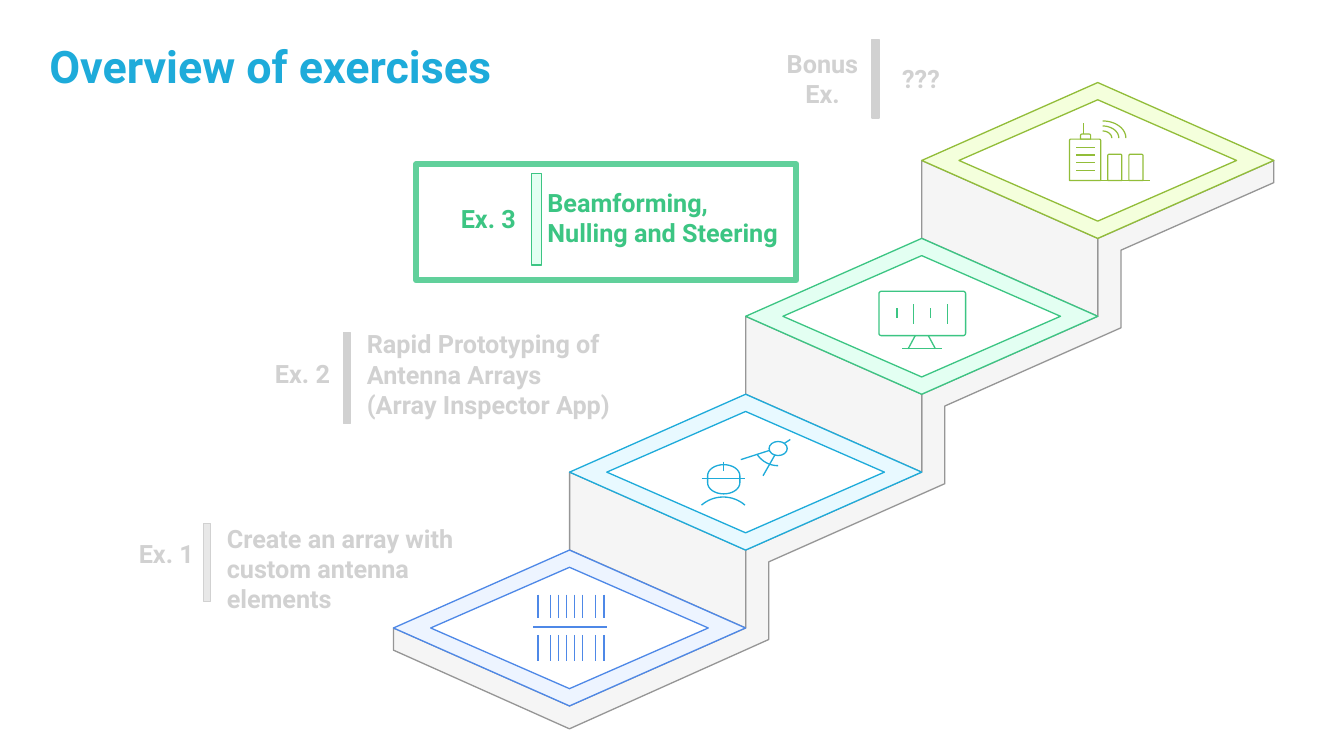
import math

import pptx
import pptx.dml.color
import pptx.enum.shapes
import pptx.enum.text
import pptx.util

COLORS = {
    "muted": "D1D1D1", "pale": "E8E8E8", "side": "F5F5F5", "edge": "969696",
    "blue": "4E88E7", "blue_fill": "EDF4FF",
    "cyan": "1EABDA", "cyan_fill": "E8F9FF",
    "green": "3CC583", "green_fill": "E3FFF2", "frame": "61D09B",
    "lime": "92BD39", "lime_fill": "F4FFDC",
}
COLUMNS, ROWS = 133.33, 75
STEP_COLORS = ["blue", "cyan", "green", "lime"]
HALF_WIDTH, HALF_HEIGHT = 17.46, 7.73
INNER_WIDTH, INNER_HEIGHT = 13.77, 6.02


class Canvas:
    """Draws on one slide; lengths are columns and rows of a square grid."""

    font = "Roboto"
    cell = pptx.util.Inches(0.1)
    outline = 0.94

    def __init__(self, presentation):
        presentation.slide_width = self.size(COLUMNS)
        presentation.slide_height = self.size(ROWS)
        self.slide = presentation.slides.add_slide(presentation.slide_layouts[6])

    def size(self, cells):
        return round(cells * self.cell)

    def color(self, name):
        return pptx.dml.color.RGBColor.from_string(COLORS[name])

    def paint(self, shape, fill, line, width):
        shape.shadow.inherit = False
        if fill:
            shape.fill.solid()
            shape.fill.fore_color.rgb = self.color(fill)
        else:
            shape.fill.background()
        shape.line.color.rgb = self.color(line)
        shape.line.width = pptx.util.Pt(width)

    def rectangle(self, *box, fill=None, line, width=outline):
        shape = self.slide.shapes.add_shape(
            pptx.enum.shapes.MSO_SHAPE.RECTANGLE, *map(self.size, box))
        self.paint(shape, fill, line, width)

    def outlines(self, contours, fill=None, line="edge", width=outline):
        """Draws (points, closed) contours as one freeform."""
        builder = None
        for points, closed in contours:
            start, *rest = [(self.size(x), self.size(y)) for x, y in points]
            if builder is None:
                builder = self.slide.shapes.build_freeform(*start, scale=1.0)
            else:
                builder.move_to(*start)
            builder.add_line_segments(rest, close=closed)
        self.paint(builder.convert_to_shape(), fill, line, width)

    def text(self, text, box, color="muted", size=18, centered=False, inset=(0, 0)):
        frame = self.slide.shapes.add_textbox(*map(self.size, box)).text_frame
        frame.word_wrap = True
        frame.margin_left = frame.margin_right = self.size(inset[0])
        frame.margin_top = frame.margin_bottom = self.size(inset[1])
        frame.text = text
        for paragraph in frame.paragraphs:
            if centered:
                paragraph.alignment = pptx.enum.text.PP_ALIGN.CENTER
            paragraph.font.name = self.font
            paragraph.font.size = pptx.util.Pt(size)
            paragraph.font.bold = True
            paragraph.font.color.rgb = self.color(color)


def arc(x, y, radius_x, radius_y, start, end):
    """Points on an ellipse, clockwise between two angles in degrees."""
    angles = [math.radians(start + (end - start) * i / 16) for i in range(17)]
    return [(x + radius_x * math.cos(a), y + radius_y * math.sin(a)) for a in angles]


def rounded(left, top, right, bottom, radius, bottom_radius=0):
    points = []
    corners = [(left, top, radius, 1, 1, 180), (right, top, radius, -1, 1, 270),
               (right, bottom, bottom_radius, -1, -1, 0),
               (left, bottom, bottom_radius, 1, -1, 90)]
    for x, y, r, toward_x, toward_y, angle in corners:
        points += (arc(x + r * toward_x, y + r * toward_y, r, r, angle, angle + 90)
                   if r else [(x, y)])
    return points, True


def strokes(*lines):
    return [([(x1, y1), (x2, y2)], False) for x1, y1, x2, y2 in lines]


def diamond(x, y, width, height):
    return [(x + width, y), (x, y + height), (x - width, y), (x, y - height)], True


def draw_staircase(canvas):
    centers = [(56.5 + 17.47 * n, 62.3 - 15.46 * n) for n in range(4)]
    (first_x, first_y), (last_x, last_y) = centers[0], centers[-1]
    side = [(last_x + HALF_WIDTH, last_y + 2.2)]
    for x, y in reversed(centers[1:]):
        side += [(x + 2.3, y + 8.9), (x + 2.3, y + 16.6)]
    side += [(first_x, first_y + 10), (first_x - HALF_WIDTH, first_y + 2.2),
             (first_x - HALF_WIDTH, first_y), (first_x, first_y + HALF_HEIGHT)]
    for x, y in centers[1:]:
        side += [(x, y + 2 * HALF_HEIGHT), (x, y + HALF_HEIGHT)]
    side.append((last_x + HALF_WIDTH, last_y))
    canvas.outlines([(side, True)], fill="side")
    for x, y in reversed(centers[1:]):
        riser = [(x, y + 2 * HALF_HEIGHT), (x - HALF_WIDTH, y + HALF_HEIGHT),
                 (x - HALF_WIDTH, y), (x, y + HALF_HEIGHT)]
        canvas.outlines([(riser, True)], fill="side")
    for (x, y), color in zip(centers, STEP_COLORS):
        inner, closed = diamond(x, y, INNER_WIDTH, INNER_HEIGHT)
        canvas.outlines([diamond(x, y, HALF_WIDTH, HALF_HEIGHT), (inner[::-1], closed)],
                        fill=color + "_fill", line=color)


def draw_icons(canvas):
    monitor = [rounded(87.2, 28.9, 95.8, 33.3, 0.25, 0.25)] + strokes(
        (90.1, 34.6, 90.8, 33.3), (92.1, 33.3, 92.8, 34.6), (89.5, 34.6, 93.5, 34.6),
        (89, 30.6, 89, 31.6), (90.6, 30.2, 90.6, 32.1),
        (92.3, 30.6, 92.3, 31.6), (94, 30.2, 94, 32.1))
    canvas.outlines(monitor, line="green")

    head = arc(71.8, 47.2, 1.6, 1.1, 180, 360) + arc(71.8, 47.9, 1.6, 1.1, 0, 180)
    designer = [(head, True), (arc(71.75, 52.6, 3.29, 3.29, 229, 311), False),
                (arc(77.2, 43.7, 2.5, 2.5, 90, 145), False),
                (arc(77.2, 44.5, 0.9, 0.7, 0, 360), True)] + strokes(
        (76.9, 45.1, 75.7, 47.2), (73.5, 45.6, 76.3, 44.7), (77.8, 44, 78.4, 43.6),
        (71.8, 45.8, 71.8, 46.7), (69.6, 47.5, 73.9, 47.5))
    canvas.outlines(designer, line="cyan")

    city = [rounded(106.1, 13.8, 109.2, 17.9, 0.15),
            rounded(109.9, 15.3, 111.3, 17.9, 0.15),
            rounded(112, 15.3, 113.4, 17.9, 0.15),
            rounded(107.2, 13.3, 108.2, 13.8, 0.15)]
    city += strokes((106.1, 17.9, 114.1, 17.9), (107.5, 13.3, 107.5, 12.2))
    city += strokes(*[(106.8, 14.6 + 0.77 * i, 108.6, 14.6 + 0.77 * i) for i in range(4)])
    city += [(arc(109.4, 13.7, 0.9 + 0.7 * i, 0.7 + 0.5 * i, 270, 360), False)
             for i in range(3)]
    canvas.outlines(city, line="lime", width=0.84)

    antenna_columns = [53.4, 54.6, 55.4, 56.2, 57, 57.8, 59.1, 59.9]
    array = strokes((52.9, 62.2, 60.2, 62.2))
    for top, bottom in [(59, 61.3), (63, 65.6)]:
        array += strokes(*[(x, top, x, bottom) for x in antenna_columns])
    canvas.outlines(array, line="blue", width=1.12)


def main():
    presentation = pptx.Presentation()
    canvas = Canvas(presentation)

    canvas.rectangle(34.1, 33, 0.65, 9, fill="muted", line="muted")
    canvas.rectangle(52.75, 17.2, 0.95, 9.1, fill="green_fill", line="green")
    canvas.rectangle(20.2, 51.9, 0.7, 7.8, fill="pale", line="muted")
    canvas.rectangle(86.5, 3.9, 0.7, 7.8, fill="muted", line="muted")

    canvas.text("Ex. 3", (43.8, 20.2, 9.3, 3), color="green", centered=True)
    canvas.text("Beamforming, Nulling and Steering", (54.3, 18.6, 23.5, 6.1), color="green")
    canvas.text("Ex. 2", (25.9, 35.6, 8.2, 3), centered=True)
    canvas.text("Rapid Prototyping of Antenna Arrays\n(Array Inspector App)",
                (36.4, 32.6, 25.4, 9.1))
    canvas.text("Bonus Ex.", (77.1, 4.8, 9, 6.1), centered=True)
    canvas.text("Ex. 1", (13.6, 53.4, 5.8, 3), centered=True)
    canvas.text("Create an array with custom antenna elements", (22.5, 51.9, 23.2, 9.1))
    canvas.text("???", (89.5, 6.3, 5.9, 3))
    canvas.text("Overview of exercises", (3.9, 3.3, 48.1, 10.8),
                color="cyan", size=32, inset=(1, 0.5))

    draw_staircase(canvas)
    draw_icons(canvas)
    canvas.rectangle(41.3, 16.3, 37.7, 11.5, line="frame", width=4.5)
    presentation.save("out.pptx")


if __name__ == "__main__":
    main()
